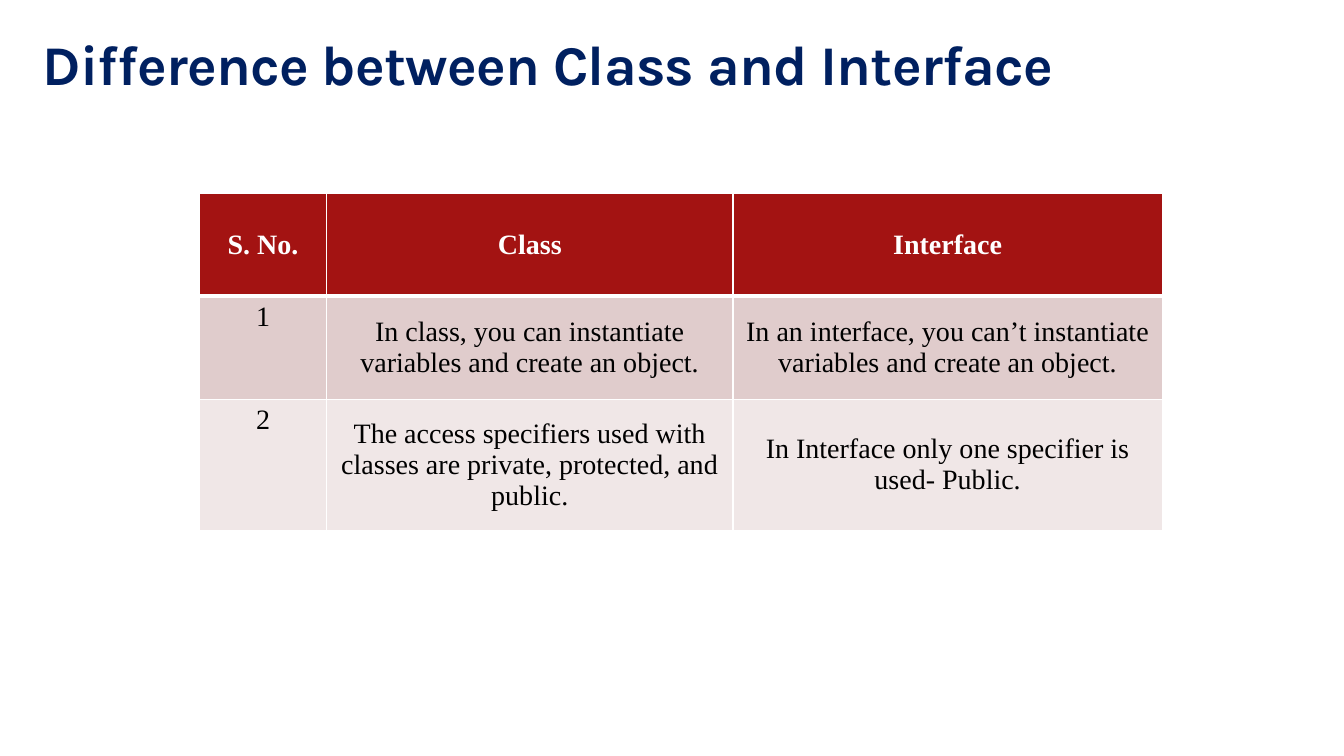
import pptx
import pptx.dml.color
import pptx.enum.text
import pptx.oxml
import pptx.oxml.ns
import pptx.util

SLIDE_WIDTH = pptx.util.Inches(13.33)
SLIDE_HEIGHT = pptx.util.Inches(7.5)
COLUMN_WIDTHS = (1.26, 4.03, 4.26)
ROW_HEIGHT = 1.02
COLORS = {
    "title": "002060",
    "header": "A31312",
    "odd_row": "E0CCCC",
    "even_row": "F0E7E7",
    "text": "000000",
    "white": "FFFFFF",
}
ROWS = (
    ("S. No.", "Class", "Interface"),
    (
        "1",
        "In class, you can instantiate variables and create an object.",
        "In an interface, you can’t instantiate variables and create an object.",
    ),
    (
        "2",
        "The access specifiers used with classes are private, protected, and public.",
        "In Interface only one specifier is used- Public.",
    ),
)


def color(name):
    return pptx.dml.color.RGBColor.from_string(COLORS[name])


def format_run(run, font_name, size, color_name, bold):
    run.font.name = font_name
    run.font.size = pptx.util.Pt(size)
    run.font.color.rgb = color(color_name)
    run.font.bold = bold


def set_margins(target, horizontal, vertical):
    target.margin_left = target.margin_right = pptx.util.Inches(horizontal)
    target.margin_top = target.margin_bottom = pptx.util.Inches(vertical)


def add_title(slide, text):
    shape = slide.shapes.add_textbox(
        int(SLIDE_WIDTH * 0.0315), int(SLIDE_HEIGHT * 0.0387),
        int(SLIDE_WIDTH * 0.8425), int(SLIDE_HEIGHT * 0.0893),
    )
    text_frame = shape.text_frame
    text_frame.word_wrap = True
    text_frame.vertical_anchor = pptx.enum.text.MSO_ANCHOR.BOTTOM
    set_margins(text_frame, 0, 0)
    text_frame.text = text
    run = text_frame.paragraphs[0].runs[0]
    format_run(run, "Karla", 40, "title", True)
    run.font._element.set("spc", "-50")


def set_borders(cell, widths):
    properties = cell._tc.get_or_add_tcPr()
    for index, (side, width) in enumerate(widths.items()):
        border = pptx.oxml.parse_xml(
            f'<a:ln{side} {pptx.oxml.ns.nsdecls("a")} w="{pptx.util.Pt(width)}">'
            f'<a:solidFill><a:srgbClr val="{COLORS["white"]}"/></a:solidFill></a:ln{side}>'
        )
        properties.insert(index, border)


def fill_cell(cell, text, row, column):
    is_header = row == 0
    fill_name = "header" if is_header else ("even_row", "odd_row")[row % 2]
    cell.fill.solid()
    cell.fill.fore_color.rgb = color(fill_name)
    if is_header:
        set_margins(cell, 0.04 if column == 0 else 0.1, 0.1)
    elif column > 0:
        set_margins(cell, 0.1, 0.15)
    if is_header or column > 0:
        cell.vertical_anchor = pptx.enum.text.MSO_ANCHOR.MIDDLE
    cell.text_frame.text = text
    paragraph = cell.text_frame.paragraphs[0]
    paragraph.alignment = pptx.enum.text.PP_ALIGN.CENTER
    text_color = "white" if is_header else "text"
    format_run(paragraph.runs[0], "Times New Roman", 20, text_color, is_header)
    set_borders(cell, {
        "L": 1,
        "R": 1,
        "T": 3 if row == 1 else 1,
        "B": 3 if is_header else 1,
    })


def add_comparison_table(slide, rows):
    table = slide.shapes.add_table(
        len(rows), len(COLUMN_WIDTHS),
        int(SLIDE_WIDTH * 0.1485), int(SLIDE_HEIGHT * 0.256),
        pptx.util.Inches(sum(COLUMN_WIDTHS)), pptx.util.Inches(ROW_HEIGHT * len(rows)),
    ).table
    for table_column, width in zip(table.columns, COLUMN_WIDTHS):
        table_column.width = pptx.util.Inches(width)
    for row, texts in enumerate(rows):
        table.rows[row].height = pptx.util.Inches(ROW_HEIGHT)
        for column, text in enumerate(texts):
            fill_cell(table.cell(row, column), text, row, column)


def main():
    presentation = pptx.Presentation()
    presentation.slide_width = SLIDE_WIDTH
    presentation.slide_height = SLIDE_HEIGHT
    slide = presentation.slides.add_slide(presentation.slide_layouts[6])
    add_title(slide, "Difference between Class and Interface")
    add_comparison_table(slide, ROWS)
    presentation.save("out.pptx")


if __name__ == "__main__":
    main()
